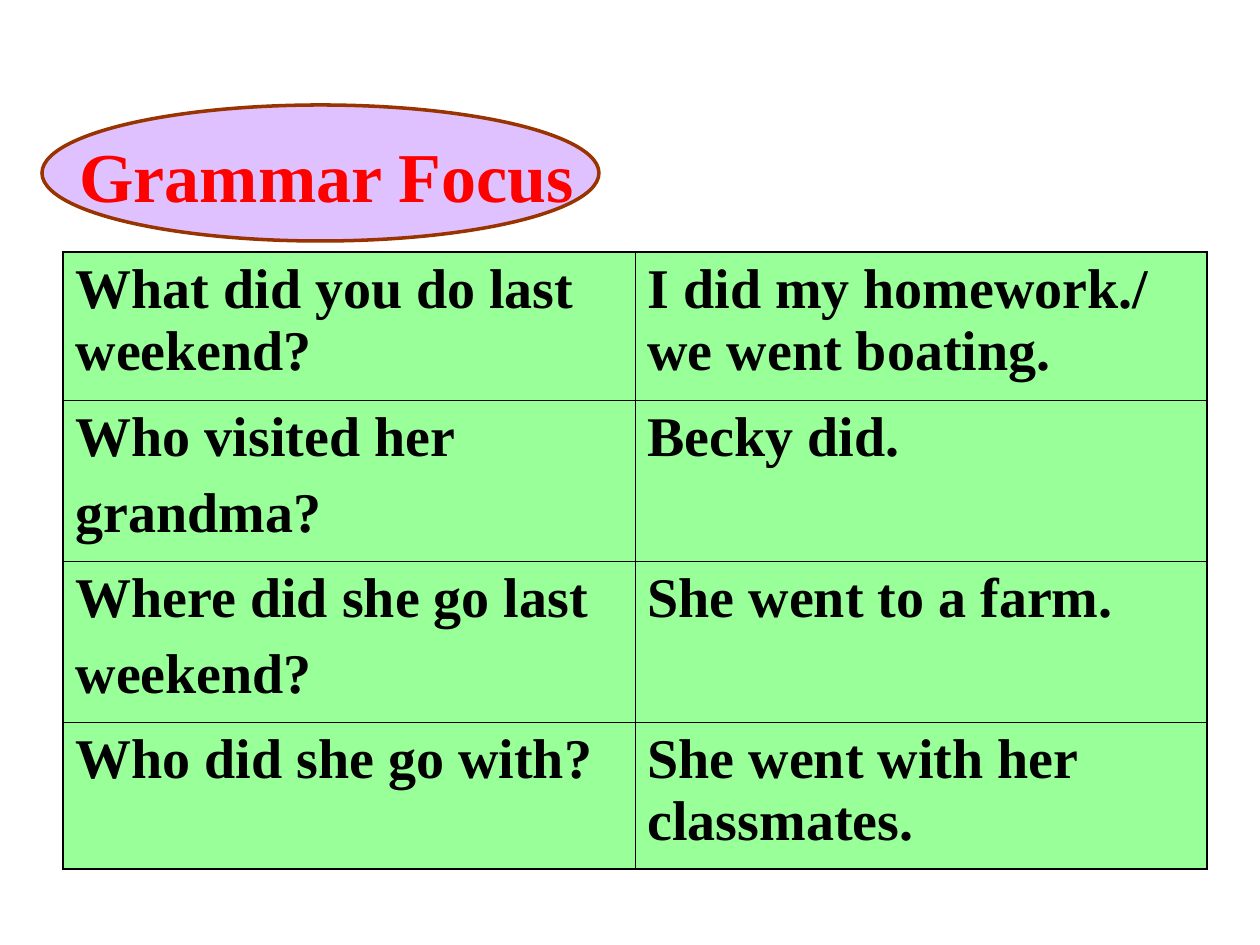
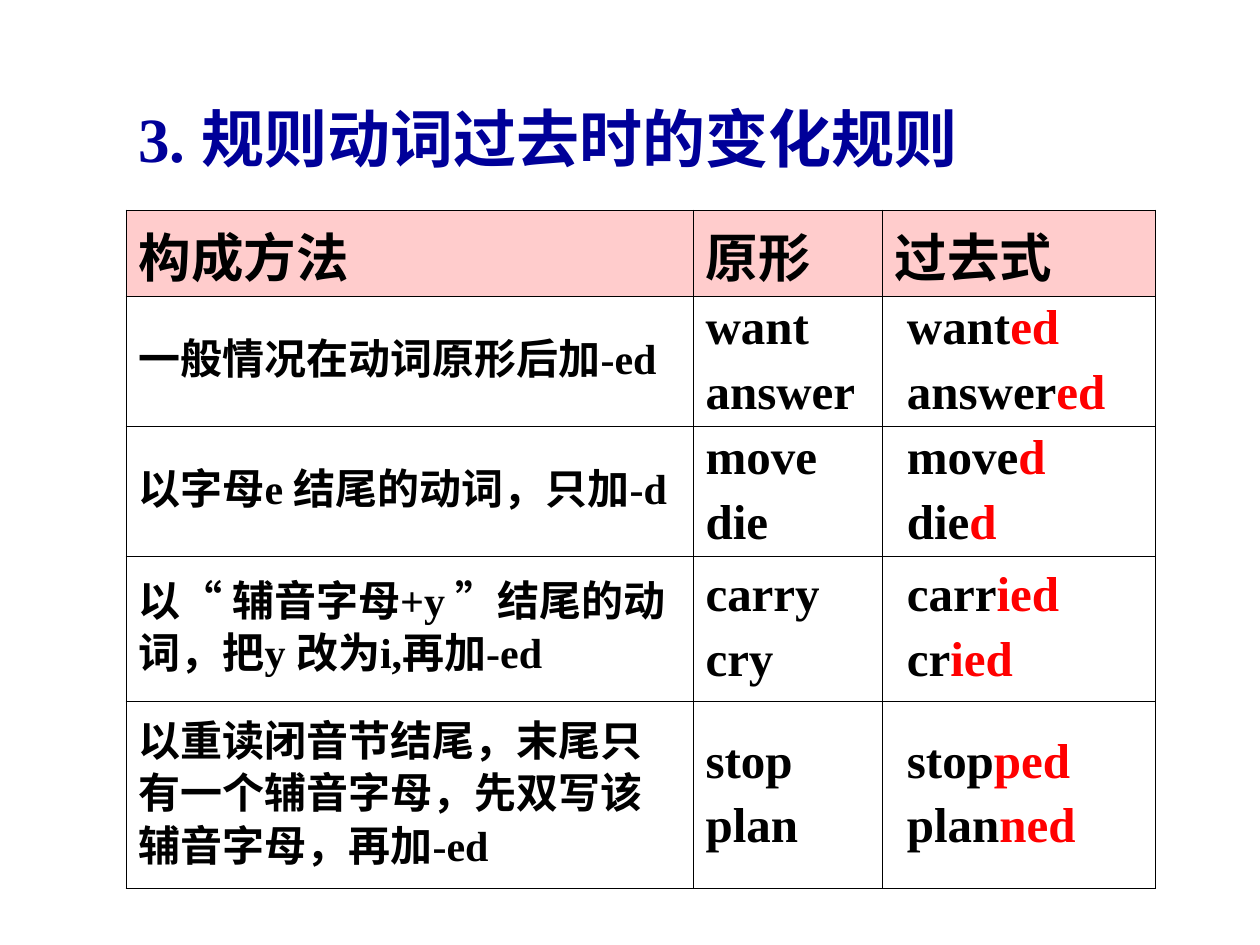
from lxml.etree import SubElement
from pptx import Presentation
from pptx.dml.color import RGBColor
from pptx.enum.shapes import MSO_SHAPE as Shape
from pptx.enum.text import MSO_ANCHOR as Anchor, PP_ALIGN as Align
from pptx.oxml.ns import qn
from pptx.util import Emu, Pt

FONT = "Times New Roman"
BLACK, RED, NAVY, WHITE = "000000", "FF0000", "000099", "FFFFFF"
GREEN, PINK, LILAC, BROWN = "99FF99", "FFCCCC", "CC99FF", "993300"
THIN, THICK = 0.45, 1.08

# A cell is a list of lines; a line is a stem or a (stem, red ending) pair.
FOCUS = "Grammar Focus"
TALK = [
    (["What did you do last weekend?"], ["I did my homework./ we went boating."]),
    (["Who visited her", "grandma?"], ["Becky did."]),
    (["Where did she go last", "weekend?"], ["She went to a farm."]),
    (["Who did she go with?"], ["She went with her classmates."]),
]
TALK_GRID = {"at": (63, 252), "cols": [572, 572], "rows": [148, 161, 161, 147]}
TALK_TEXT = {"size": 32, "before": 8}

RULES = "3. 规则动词过去时的变化规则"
HEADS = (["构成方法"], ["原形"], ["过去式"])
VERBS = [
    (["一般情况在动词原形后加-ed"], ["want", "answer"],
     [("want", "ed"), ("answer", "ed")]),
    (["以字母e 结尾的动词，只加-d"], ["move", "die"],
     [("move", "d"), ("die", "d")]),
    (["以“ 辅音字母+y ”结尾的动词，把y 改为i,再加-ed"], ["carry", "cry"],
     [("carr", "ied"), ("cr", "ied")]),
    (["以重读闭音节结尾，末尾只有一个辅音字母，先双写该辅音字母，再加-ed"],
     ["stop", "plan"], [("stop", "ped"), ("plan", "ned")]),
]
VERB_GRID = {"at": (126, 210), "cols": [567, 189, 273],
             "rows": [86, 130, 130, 145, 188]}
HEAD_TEXT = {"size": 30, "before": 7.5}
RULE_TEXT = {"size": 24, "before": 6, "spacing": 30}
VERB_TEXT = {"size": 28, "before": 7, "spacing": 30}
PAST_INDENT = 25


def px(n):
    return Emu(round(n * 914400 / 126))


def rgb(code):
    return RGBColor.from_string(code)


def paint(item, code):
    item.fill.solid()
    item.fill.fore_color.rgb = rgb(code)


def write(frame, lines, size, color=BLACK, before=0, spacing=None, align=Align.LEFT):
    for i, line in enumerate(lines):
        para = frame.add_paragraph() if i else frame.paragraphs[0]
        look = {"alignment": align, "space_before": Pt(before),
                "line_spacing": Pt(spacing) if spacing else None}
        for name, value in look.items():
            setattr(para, name, value)
        parts = (line,) if isinstance(line, str) else line
        for text, tint in zip(parts, (color, RED)):
            run = para.add_run()
            run.text = text
            for name, value in {"name": FONT, "size": Pt(size), "bold": True}.items():
                setattr(run.font, name, value)
            run.font.color.rgb = rgb(tint)


def label(slide, box, text, **look):
    frame = slide.shapes.add_textbox(*map(px, box)).text_frame
    frame.word_wrap = True
    frame.vertical_anchor = Anchor.MIDDLE
    write(frame, [text], **look)


def edge(cell, side, width):
    props = cell._tc.get_or_add_tcPr()
    line = SubElement(props, qn("a:ln" + side), w=str(Pt(width)))
    fill = SubElement(line, qn("a:solidFill"))
    SubElement(fill, qn("a:srgbClr"), val=BLACK)


def grid(slide, data, at, cols, rows, style, rim=THIN):
    """Draw a table; style(row, col) gives fill, anchor, left margin and text look."""
    shape = slide.shapes.add_table(len(rows), len(cols), *map(
        px, (*at, sum(cols), sum(rows))))
    table = shape.table
    table.first_row = table.horz_banding = False
    for col, width in zip(table.columns, cols):
        col.width = px(width)
    for row, height in zip(table.rows, rows):
        row.height = px(height)
    for r, line in enumerate(data):
        for c, text in enumerate(line):
            cell = table.cell(r, c)
            fill, anchor, left, look = style(r, c)
            outer = {"L": c == 0, "R": c == len(cols) - 1,
                     "T": r == 0, "B": r == len(rows) - 1}
            for side, out in outer.items():
                edge(cell, side, rim if out else THIN)
            paint(cell, fill)
            cell.vertical_anchor = anchor
            cell.margin_left = px(left)
            write(cell.text_frame, text, **look)


def talk_style(row, col):
    return GREEN, Anchor.TOP, 12.6, TALK_TEXT


def verb_style(row, col):
    if row == 0:
        return PINK, Anchor.TOP, 12.6, HEAD_TEXT
    left = PAST_INDENT if col == 2 else 12.6
    return WHITE, Anchor.MIDDLE, left, VERB_TEXT if col else RULE_TEXT


def focus_slide(slide):
    oval = slide.shapes.add_shape(Shape.OVAL, *map(px, (42, 105, 557, 136)))
    oval.shadow.inherit = False
    paint(oval, LILAC)
    tint = oval.fill._xPr.find(".//" + qn("a:srgbClr"))
    SubElement(tint, qn("a:alpha"), val="60000")
    oval.line.color.rgb = rgb(BROWN)
    oval.line.width = Pt(2)
    label(slide, (67, 126, 522, 97), FOCUS, size=40, color=RED)
    grid(slide, TALK, **TALK_GRID, style=talk_style, rim=THICK)


def rules_slide(slide):
    label(slide, (116, 82, 863, 110), RULES, size=36, color=NAVY, align=Align.CENTER)
    grid(slide, [HEADS, *VERBS], **VERB_GRID, style=verb_style)


def main():
    deck = Presentation()
    deck.slide_width, deck.slide_height = px(1260), px(945)
    for build in (focus_slide, rules_slide):
        build(deck.slides.add_slide(deck.slide_layouts[6]))
    deck.save("out.pptx")


if __name__ == "__main__":
    main()
